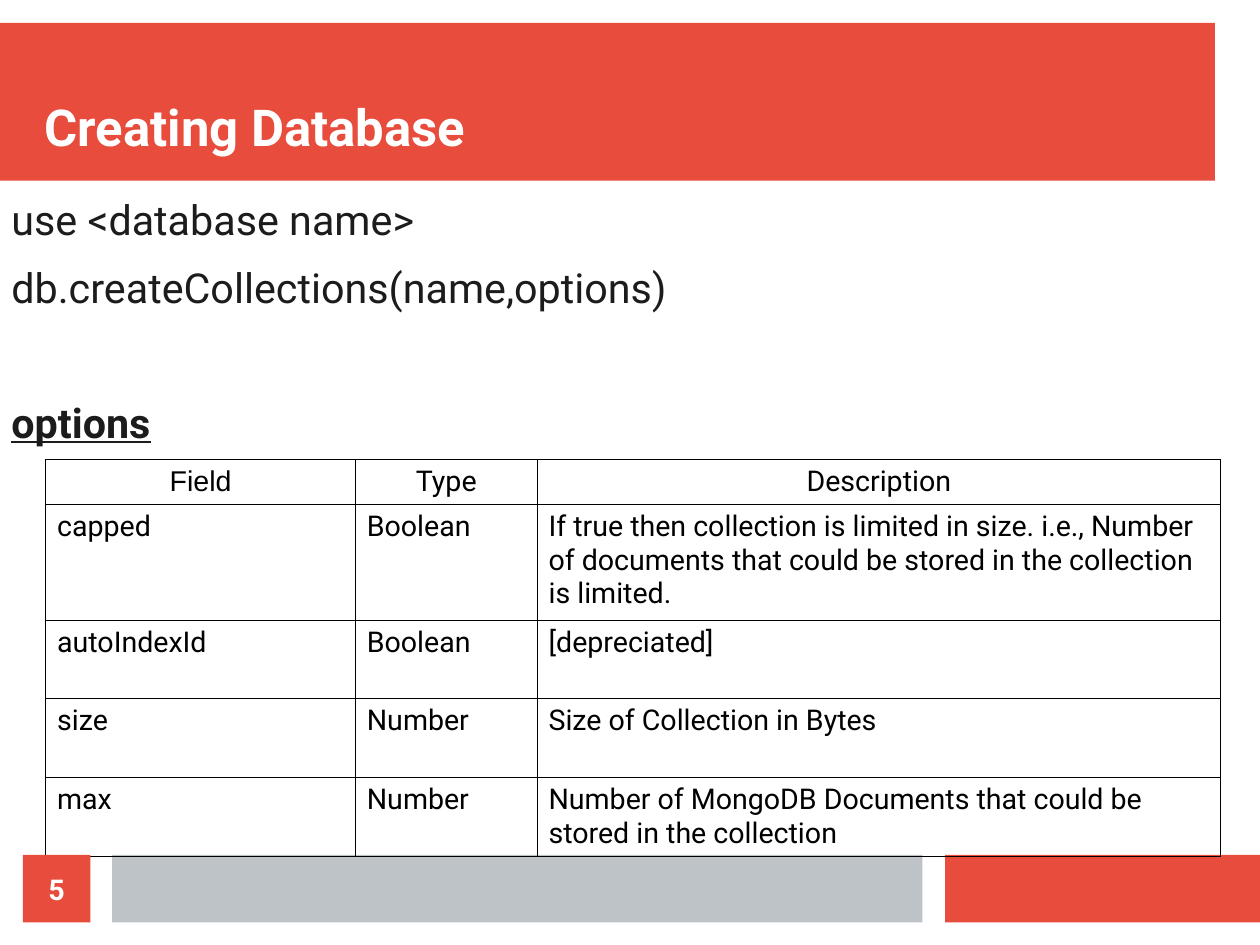
import pptx
import pptx.util
import pptx.dml.color
import pptx.enum.shapes
import pptx.enum.text
import pptx.oxml
import pptx.oxml.ns
from pptx.util import Inches

COLORS = {"red": "E74C3C", "gray": "BDC3C7", "white": "FFFFFF",
          "ink": "1C1C1C", "black": "000000"}
ALIGN = pptx.enum.text.PP_ALIGN
ANCHOR = pptx.enum.text.MSO_ANCHOR

COLUMN_WIDTHS = [2.71, 1.59, 5.98]
ROW_HEIGHTS = [0.39, 1.01, 0.69, 0.69, 0.67]
OPTION_ROWS = [
    ("Field", "Type", "Description"),
    ("capped", "Boolean", "If true then collection is limited in size. i.e., Number "
     "of documents that could be stored in the collection is limited."),
    ("autoIndexId", "Boolean", "[depreciated]"),
    ("size", "Number", "Size of Collection in Bytes"),
    ("max", "Number", "Number of MongoDB Documents that could be stored in the collection"),
]


def rgb(name):
    return pptx.dml.color.RGBColor.from_string(COLORS[name])


def add_span(para, text, size, color, bold=False, underline=False, face="Roboto"):
    span = para.add_run()
    span.text = text
    font = span.font
    font.name, font.size = face, pptx.util.Pt(size)
    font.bold, font.underline = bold, underline
    font.color.rgb = rgb(color)


def place(shape, left, top, width, height):
    shape.left, shape.top = Inches(left), Inches(top)
    shape.width, shape.height = Inches(width), Inches(height)


def prepare_frame(frame, anchor):
    frame.margin_left = frame.margin_right = Inches(0)
    frame.margin_top = frame.margin_bottom = Inches(0)
    frame.word_wrap = True
    frame.auto_size = pptx.enum.text.MSO_AUTO_SIZE.NONE
    frame.vertical_anchor = anchor


def add_block(page, left, top, width, height, color):
    block = page.shapes.add_shape(pptx.enum.shapes.MSO_SHAPE.RECTANGLE, Inches(left),
                                  Inches(top), Inches(width), Inches(height))
    block.shadow.inherit = False
    block.fill.solid()
    block.fill.fore_color.rgb = rgb(color)
    block.line.fill.background()
    return block


def fill_title(title, text):
    place(title, 0.39, 0.39, 10.24, 0.98)
    prepare_frame(title.text_frame, ANCHOR.BOTTOM)
    para = title.text_frame.paragraphs[0]
    para.alignment = ALIGN.LEFT
    add_span(para, text, 32, "white", bold=True)


def fill_body(body, lines):
    place(body, 0.1, 1.7, 10.04, 5.12)
    frame = body.text_frame
    prepare_frame(frame, ANCHOR.TOP)
    for index, (text, space_before, heading) in enumerate(lines):
        para = frame.add_paragraph() if index else frame.paragraphs[0]
        properties = para._p.get_or_add_pPr()
        properties.set("marL", "0")
        properties.set("indent", "0")
        properties.append(pptx.oxml.parse_xml(
            f'<a:buNone {pptx.oxml.ns.nsdecls("a")}/>'))
        para.space_before = pptx.util.Pt(space_before)
        para.space_after = pptx.util.Pt(11.4)
        add_span(para, text, 26, "ink", bold=heading, underline=heading)


def add_borders(cell):
    properties = cell._tc.get_or_add_tcPr()
    for side in ("lnL", "lnR", "lnT", "lnB"):
        properties.append(pptx.oxml.parse_xml(
            f'<a:{side} {pptx.oxml.ns.nsdecls("a")} w="{pptx.util.Pt(0.57)}"><a:solidFill>'
            f'<a:srgbClr val="{COLORS["black"]}"/></a:solidFill></a:{side}>'))


def add_options_table(page):
    frame = page.shapes.add_table(len(OPTION_ROWS), len(COLUMN_WIDTHS), Inches(0.4),
                                  Inches(4.02), Inches(10.28), Inches(3.45))
    table = frame.table
    table.first_row = table.horz_banding = False
    for column, width in zip(table.columns, COLUMN_WIDTHS):
        column.width = Inches(width)
    for row, height, texts in zip(table.rows, ROW_HEIGHTS, OPTION_ROWS):
        row.height = Inches(height)
        is_header = texts is OPTION_ROWS[0]
        for cell, text in zip(row.cells, texts):
            add_borders(cell)
            cell.fill.background()
            para = cell.text_frame.paragraphs[0]
            para.alignment = ALIGN.CENTER if is_header else ALIGN.LEFT
            add_span(para, text, 18, "black", face="Arial" if text == "Field" else "Roboto")


def add_page_number(page, number):
    block = add_block(page, 0.2, 7.48, 0.59, 0.59, "red")
    prepare_frame(block.text_frame, ANCHOR.MIDDLE)
    para = block.text_frame.paragraphs[0]
    para.alignment = ALIGN.CENTER
    add_span(para, number, 18, "white", bold=True)


def main():
    deck = pptx.Presentation()
    deck.slide_width, deck.slide_height = pptx.util.Cm(28), pptx.util.Cm(21)
    page = deck.slides.add_slide(deck.slide_layouts[1])
    title, body = page.placeholders

    # Title band and footer bars, behind the text
    for bar in ((0, 0.2, 10.63, 1.38, "red"),
                (8.27, 7.48, 2.76, 0.59, "red"),
                (0.98, 7.48, 7.09, 0.59, "gray")):
        title.element.addprevious(add_block(page, *bar).element)

    # Title and commands
    fill_title(title, "Creating Database")
    fill_body(body, [("use <database name>", 0, False),
                     ("db.createCollections(name,options)", 0, False),
                     ("options", 42.5, True)])

    # Options table and page number
    add_options_table(page)
    add_page_number(page, "5")
    deck.save("out.pptx")


if __name__ == "__main__":
    main()
